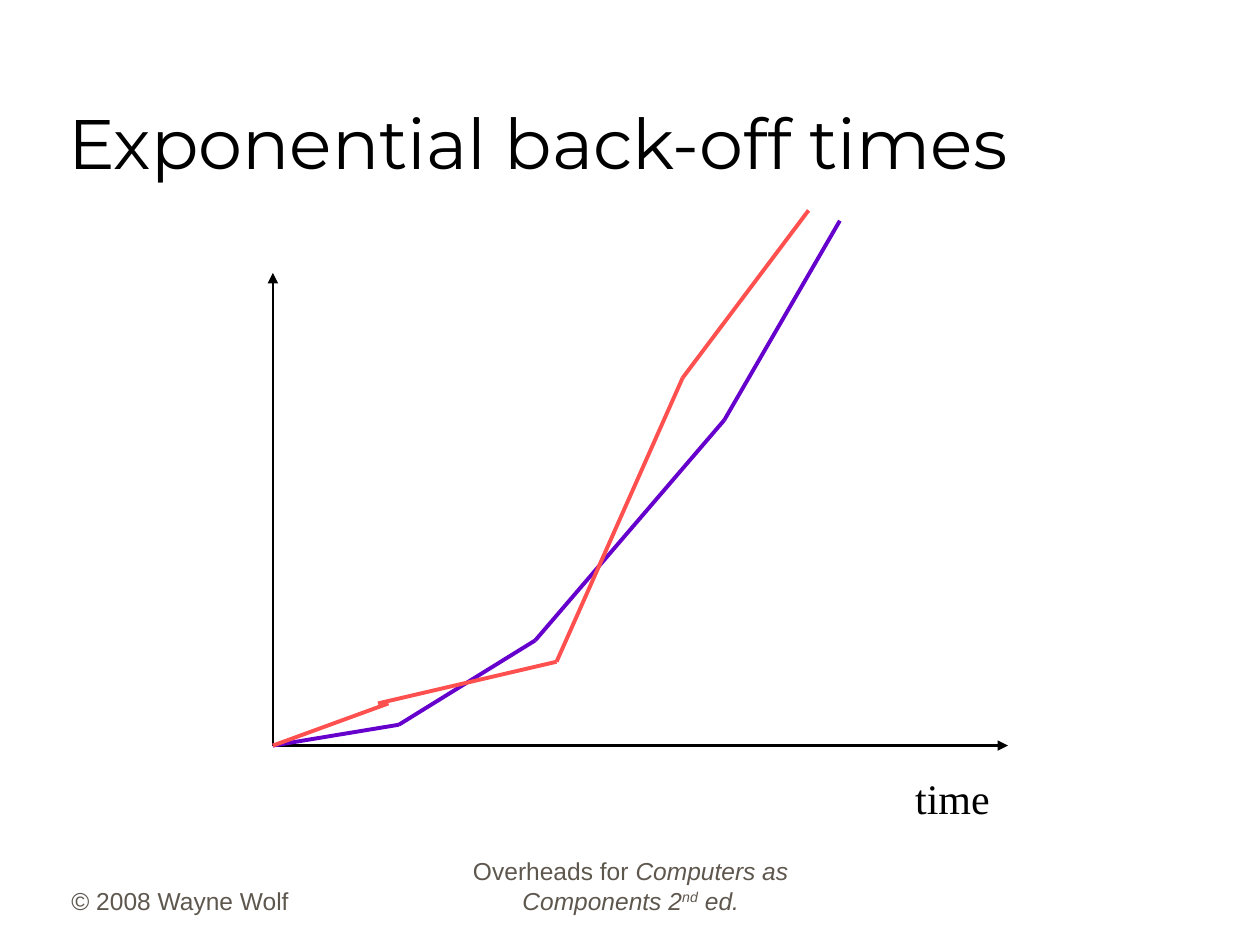
from dataclasses import dataclass
from itertools import pairwise

from lxml import etree
from pptx import Presentation
from pptx.dml import color
from pptx.enum import shapes, text
from pptx.oxml import ns
from pptx.util import Cm, Pt


@dataclass(frozen=True)
class Theme:
    """Hold the colours, fonts and sizes of the slide."""
    ink: str = "000000"
    foot: str = "5E574E"
    violet: str = "6600CC"
    red: str = "FF5050"
    head: tuple = ("Montserrat", 40)
    label: tuple = ("Times New Roman", 24)
    note: tuple = ("Arial", 14)
    axis: float = 1.5
    curve: float = 2.25


THEME = Theme()


def apply(item, form):
    """Set each attribute of an item from a dict."""
    for name, value in form.items():
        setattr(item, name, value)


def place(shape, box):
    """Move a shape to a box given in centimetres."""
    names = ("left", "top", "width", "height")
    apply(shape, dict(zip(names, map(Cm, box))))


def write(shape, runs, face, tint, frame, align=text.PP_ALIGN.LEFT):
    """Fill a shape with one paragraph of formatted runs."""
    apply(shape.text_frame, frame)
    para = shape.text_frame.paragraphs[0]
    para.alignment = align
    for words, italic, raised in runs:
        run = para.add_run()
        run.text = words
        apply(run.font, {"name": face[0], "size": Pt(face[1]), "italic": italic})
        run.font.color.rgb = color.RGBColor.from_string(tint)
        if raised:
            run.font._element.set("baseline", "30000")


def draw(slide, start, end, tint, width, arrow=False):
    """Draw a straight line between two points in centimetres."""
    line = slide.shapes.add_connector(
        shapes.MSO_CONNECTOR.STRAIGHT, *map(Cm, (*start, *end)))
    line.line.color.rgb = color.RGBColor.from_string(tint)
    line.line.width = Pt(width)
    if arrow:
        etree.SubElement(line.line._get_or_add_ln(), ns.qn("a:tailEnd"), type="triangle")
    etree.SubElement(line._element.spPr, ns.qn("a:effectLst"))


def title(slide, box):
    """Place the slide title in its box."""
    shape = slide.shapes.title
    place(shape, box)
    frame = {"vertical_anchor": text.MSO_ANCHOR.BOTTOM, "word_wrap": True,
             "auto_size": text.MSO_AUTO_SIZE.NONE}
    write(shape, [("Exponential back-off times", False, False)],
          THEME.head, THEME.ink, frame)


def graph(slide, box):
    """Draw the axes, both curves and the time label around a box."""
    left, top, wide, high = box
    base = top + high

    def spot(point):
        """Turn an offset from the origin into a slide position."""
        return left + point[0], base - point[1]

    for end in ((wide, 0), (0, high)):
        draw(slide, spot((0, 0)), spot(end), THEME.ink, THEME.axis, True)

    label = slide.shapes.add_textbox(0, 0, 0, 0)
    place(label, (left + 12.7, base + 0.42, 2.1, 1.27))
    frame = {"word_wrap": False, "auto_size": text.MSO_AUTO_SIZE.SHAPE_TO_FIT_TEXT}
    write(label, [("time", False, False)], THEME.label, THEME.ink, frame)

    curves = (
        (THEME.violet, ((0, 0), (2.54, 0.42), (5.29, 2.12), (9.1, 6.56), (11.43, 10.58))),
        (THEME.red, ((0, 0), (2.33, 0.85))),
        (THEME.red, ((2.12, 0.85), (5.72, 1.69), (8.26, 7.41), (10.8, 10.79))),
    )
    for tint, points in curves:
        for start, end in pairwise(map(spot, points)):
            draw(slide, start, end, tint, THEME.curve)


def footer(slide, box):
    """Place the copyright line and the centred book note."""
    left, top, wide, high = box
    book = [("Overheads for ", False, False), ("Computers as Components 2", True, False),
            ("nd", True, True), (" ed.", True, False)]
    parts = (
        (0, 5.28, [("© 2008 Wayne Wolf", False, False)], text.PP_ALIGN.LEFT),
        (wide - 8.05, 8.05, book, text.PP_ALIGN.CENTER),
    )
    frame = {"vertical_anchor": text.MSO_ANCHOR.BOTTOM, "word_wrap": True}
    for shift, span, runs, align in parts:
        shape = slide.shapes.add_textbox(0, 0, 0, 0)
        place(shape, (left + shift, top, span, high))
        write(shape, runs, THEME.note, THEME.foot, frame, align)


def main():
    """Build and save the slide."""
    deck = Presentation()
    apply(deck, {"slide_width": Cm(25.4), "slide_height": Cm(19.05)})
    slide = deck.slides.add_slide(deck.slide_layouts[5])
    footer(slide, (1.19, 17.3, 15.55, 1.27))
    title(slide, (1.12, 0.64, 21.59, 3.18))
    graph(slide, (5.5, 5.5, 14.82, 9.53))
    deck.save("out.pptx")


if __name__ == "__main__":
    main()
